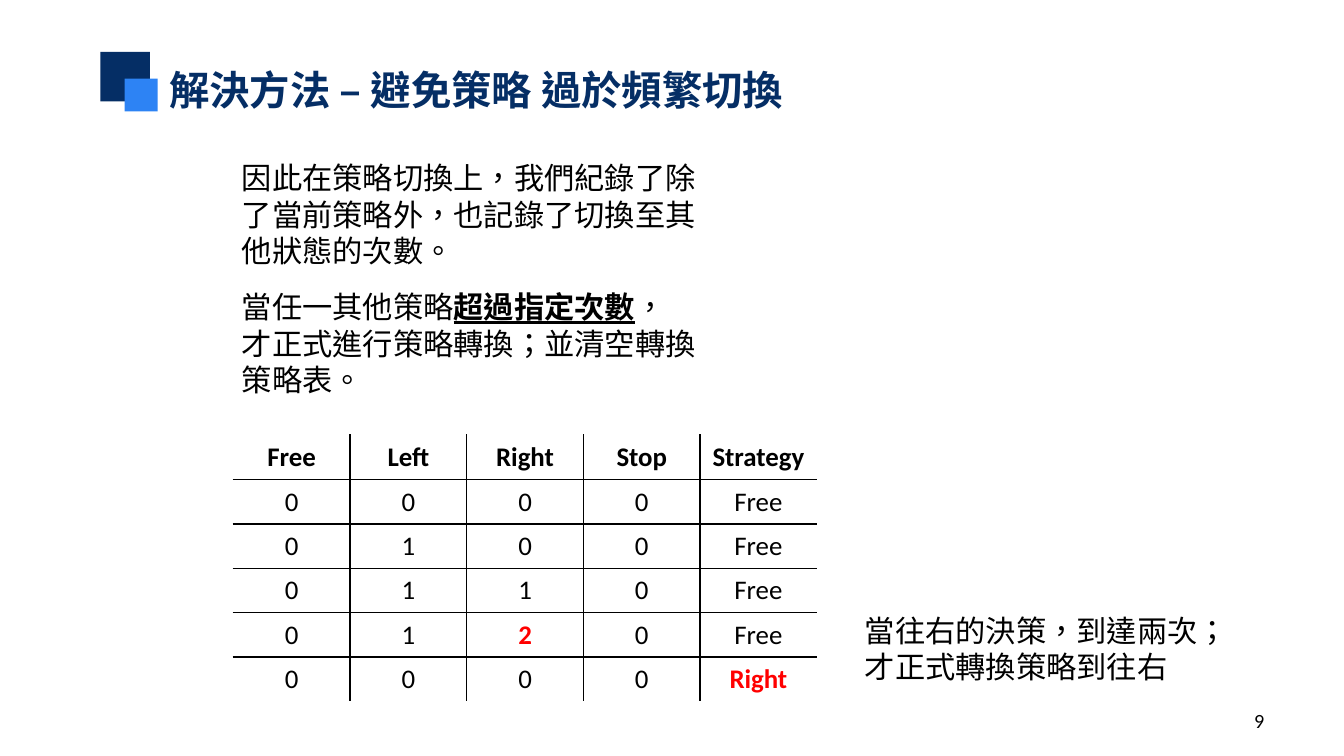
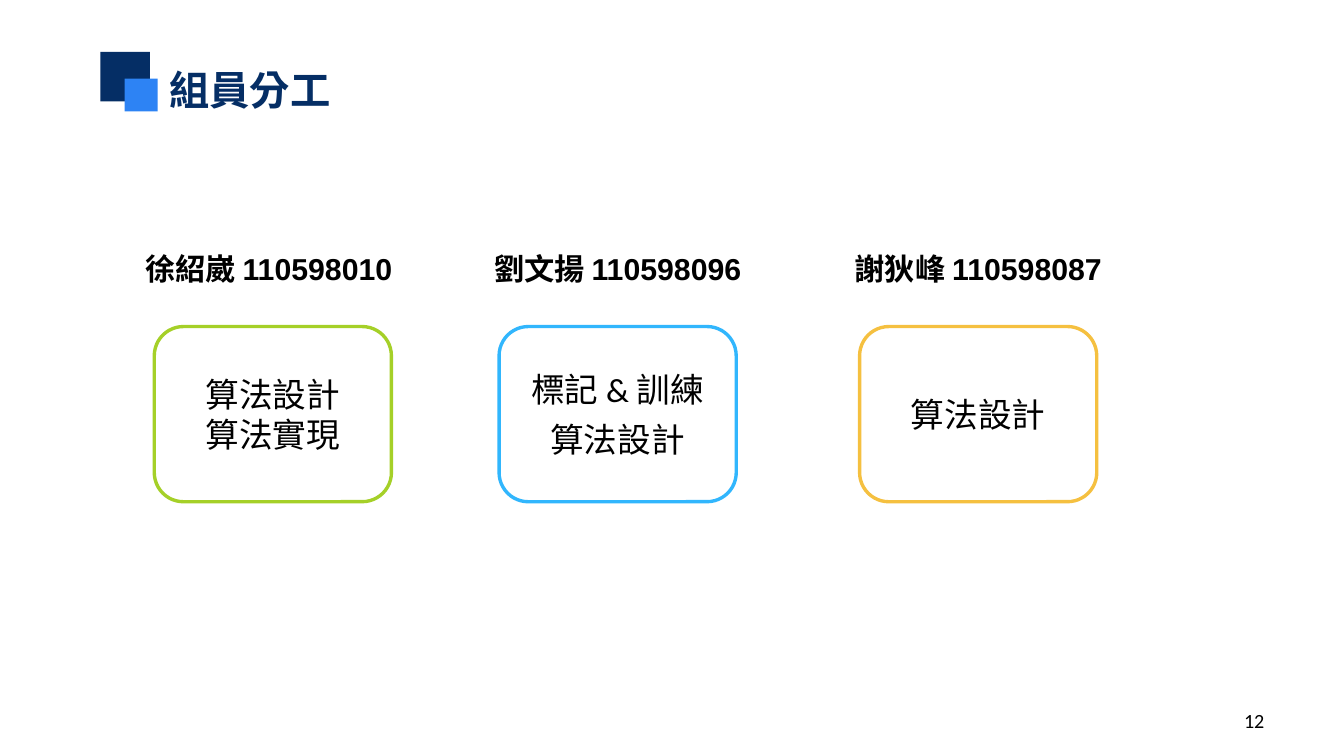
"""Build two slides: strategy switching rules and team assignments."""
from lxml import etree
from pptx import Presentation
from pptx import util as u
from pptx.dml.color import RGBColor
from pptx.enum import lang, shapes, text
from pptx.oxml.ns import qn

NAVY = RGBColor(0x05, 0x2E, 0x65)
BLUE = RGBColor(0x2D, 0x83, 0xF4)
BLACK = RGBColor(0, 0, 0)
WHITE = RGBColor(0xFF, 0xFF, 0xFF)
RED = RGBColor(0xFF, 0, 0)
GREEN = RGBColor(0xA5, 0xD0, 0x28)
SKY = RGBColor(0x31, 0xB6, 0xFD)
AMBER = RGBColor(0xF5, 0xC0, 0x40)
TITLE_FONT = "Noto Sans CJK SC"
BODY_FONT = "Calibri"
HEADING_FONT = "Arial"
LEFT, CENTER, RIGHT = text.PP_ALIGN.LEFT, text.PP_ALIGN.CENTER, text.PP_ALIGN.RIGHT

STRATEGY_ROWS = [
    ["Free", "Left", "Right", "Stop", "Strategy"],
    ["0", "0", "0", "0", "Free"],
    ["0", "1", "0", "0", "Free"],
    ["0", "1", "1", "0", "Free"],
    ["0", "1", "2", "0", "Free"],
    ["0", "0", "0", "0", "Right"],
]
HIGHLIGHTS = {(4, 2), (5, 4)}
MEMBERS = [
    (2.11, "徐紹崴 110598010 ", GREEN, ["算法設計\v算法實現"]),
    (9.35, "劉文揚 110598096", SKY, ["標記 & 訓練", "算法設計"]),
    (16.92, "謝狄峰 110598087", AMBER, ["算法設計"]),
]


def style_span(span, size, color=BLACK, bold=False, latin=BODY_FONT, asian=BODY_FONT):
    """Format one run, with its Latin and East Asian typefaces."""
    font = span.font
    font.size, font.bold, font.name = u.Pt(size), bold, latin
    font.color.rgb = color
    font.language_id = lang.MSO_LANGUAGE_ID.TRADITIONAL_CHINESE
    properties = span._r.get_or_add_rPr()
    etree.SubElement(properties, qn("a:ea")).set("typeface", asian)


def write_text(frame, lines, size, align=LEFT, before=0, after=0, **style):
    """Fill a frame with paragraphs; text between asterisks is emphasised."""
    frame.word_wrap = True
    for index, line in enumerate(lines):
        para = frame.add_paragraph() if index else frame.paragraphs[0]
        para.alignment = align
        para.space_before, para.space_after = u.Pt(before), u.Pt(after)
        for part, piece in enumerate(line.split("*")):
            for row, words in enumerate(piece.split("\v")):
                if row:
                    para.add_line_break()
                span = para.add_run()
                span.text = words
                style_span(span, size, **style)
                if part % 2:
                    span.font.bold = span.font.underline = True


def add_text(page, place, lines, size, **style):
    """Add a text box at a place given in centimetres."""
    box = page.shapes.add_textbox(*map(u.Cm, place))
    write_text(box.text_frame, lines, size, **style)
    return box


def add_panel(page, kind, place, fill, line=None):
    """Add a preset shape without shadow."""
    panel = page.shapes.add_shape(kind, *map(u.Cm, place))
    panel.shadow.inherit = False
    panel.fill.solid()
    panel.fill.fore_color.rgb = fill
    if line is None:
        panel.line.fill.background()
    else:
        panel.line.color.rgb = line
        panel.line.width = u.Pt(2)
    return panel


def start_page(deck, heading, number):
    """Add a slide with the shared title, squares and page number."""
    page = deck.slides.add_slide(deck.slide_layouts[5])
    title = page.shapes.title
    title.left, title.top, title.width, title.height = map(u.Cm, (3.3, 1.35, 13.59, 1.27))
    frame = title.text_frame
    frame.vertical_anchor = text.MSO_ANCHOR.TOP
    frame.auto_size = text.MSO_AUTO_SIZE.NONE
    write_text(frame, [heading], 24, color=NAVY, bold=True,
               latin=TITLE_FONT, asian=TITLE_FONT)
    frame.paragraphs[0].line_spacing = 0.9
    square = shapes.MSO_SHAPE.RECTANGLE
    add_panel(page, square, (2.11, 1.09, 1.04, 1.04), NAVY)
    add_panel(page, square, (2.62, 1.65, 0.69, 0.69), BLUE)
    footer = add_text(page, (20.22, 14.71, 6.58, 0.84), [str(number)], 12, align=RIGHT)
    footer.text_frame.vertical_anchor = text.MSO_ANCHOR.MIDDLE
    return page


def set_borders(cell, colors):
    """Draw the left, right, top and bottom borders of a cell."""
    properties = cell._tc.get_or_add_tcPr()
    for side, color in zip("LRTB", colors):
        line = etree.SubElement(properties, qn(f"a:ln{side}"), w=str(u.Pt(1)))
        fill = etree.SubElement(line, qn("a:solidFill"))
        etree.SubElement(fill, qn("a:srgbClr"), val=str(color))


def add_strategy_table(page, left, top, column_width, row_height):
    """Add the strategy counts with inner grid lines only."""
    rows, columns = len(STRATEGY_ROWS), len(STRATEGY_ROWS[0])
    size = (left, top, column_width * columns, row_height * rows)
    table = page.shapes.add_table(rows, columns, *map(u.Cm, size)).table
    for row, values in enumerate(STRATEGY_ROWS):
        for column, value in enumerate(values):
            cell = table.cell(row, column)
            marked = (row, column) in HIGHLIGHTS
            write_text(cell.text_frame, [value], 16, align=CENTER,
                       color=RED if marked else BLACK, bold=marked or row == 0)
            outer = (column == 0, column == columns - 1, row == 0, row == rows - 1)
            set_borders(cell, [WHITE if edge else BLACK for edge in outer])
            cell.fill.background()


def add_member(page, left, name, color, tasks):
    """Add a team member's name above a framed list of tasks."""
    add_text(page, (left, 5.13, 7.24, 1.02), [name], 18, align=CENTER,
             before=6, bold=True, latin=HEADING_FONT)
    card = add_panel(page, shapes.MSO_SHAPE.ROUNDED_RECTANGLE,
                     (left + 1.13, 6.86, 4.98, 3.68), WHITE, color)
    card.text_frame.vertical_anchor = text.MSO_ANCHOR.MIDDLE
    write_text(card.text_frame, tasks, 20, align=CENTER, before=6)


def main():
    """Build and save the deck."""
    deck = Presentation()
    deck.slide_width, deck.slide_height = u.Cm(28.22), u.Cm(15.88)

    switching = start_page(deck, "解決方法 – 避免策略 過於頻繁切換", 9)
    add_text(switching, (4.83, 3.23, 10.57, 5.31), [
        "因此在策略切換上，我們紀錄了除了當前策略外，也記錄了切換至其他狀態的次數。",
        "當任一其他策略*超過指定次數*，\v才正式進行策略轉換；並清空轉換策略表。",
    ], 18, before=6, after=6)
    add_strategy_table(switching, 4.9, 9.14, 2.45, 0.93)
    add_text(switching, (17.91, 12.73, 9.19, 1.8),
             ["當往右的決策，到達兩次；\v才正式轉換策略到往右"], 18, before=6, after=6)

    team = start_page(deck, "組員分工", 12)
    for member in MEMBERS:
        add_member(team, *member)

    deck.save("out.pptx")


main()
